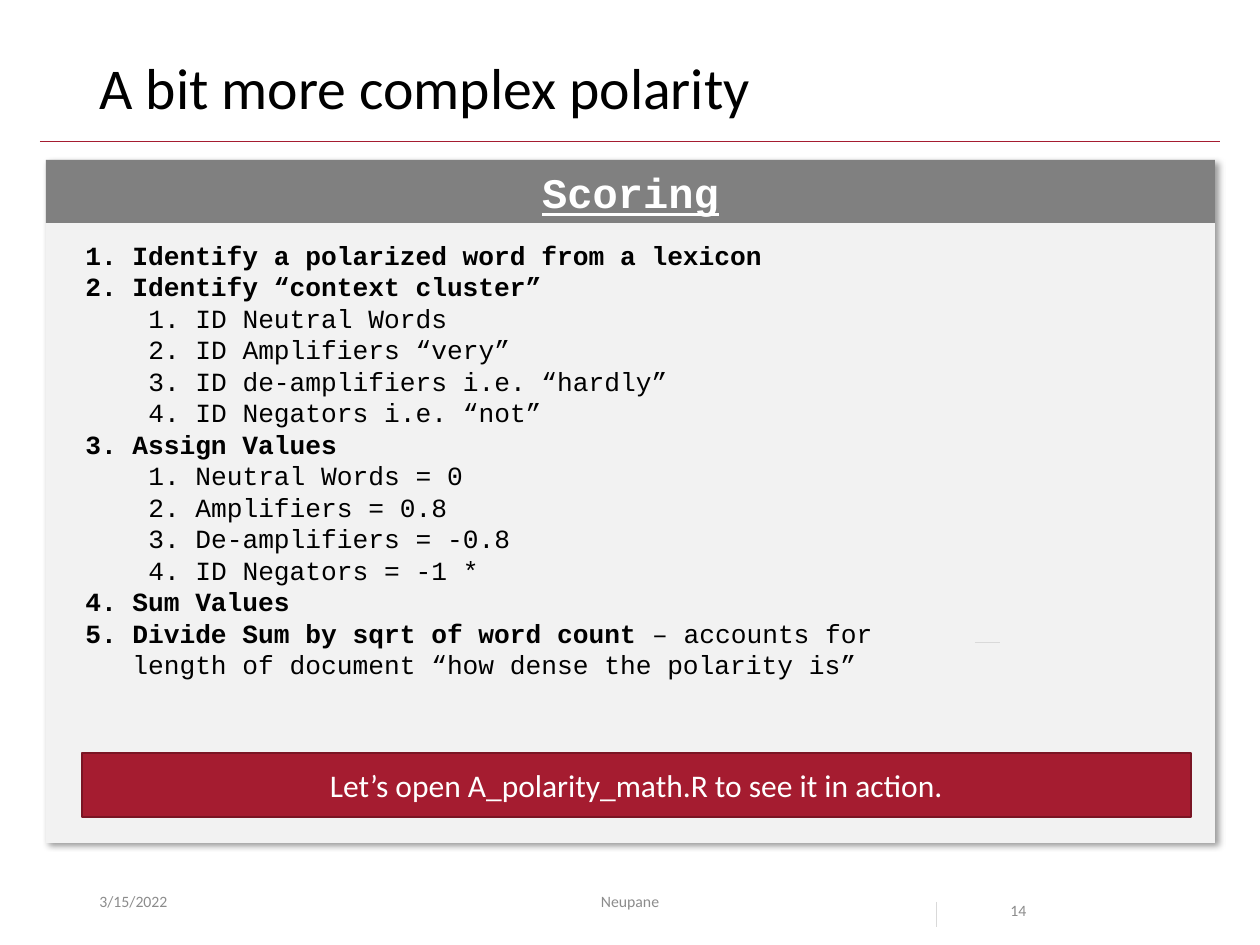
import pptx
import pptx.util
import pptx.dml.color
import pptx.enum.shapes
import pptx.enum.text
import pptx.oxml.ns
import lxml.etree

RGB = pptx.dml.color.RGBColor
BLACK = RGB(0x00, 0x00, 0x00)
WHITE = RGB(0xFF, 0xFF, 0xFF)
CRIMSON = RGB(0xA5, 0x1C, 0x30)
DARK_CRIMSON = RGB(0x7A, 0x15, 0x24)
PANEL_GREY = RGB(0xF2, 0xF2, 0xF2)
HEADER_GREY = RGB(0x80, 0x80, 0x80)
FOOTER_GREY = RGB(0x8C, 0x8C, 0x8C)
HAIRLINE_GREY = RGB(0xD9, 0xD9, 0xD9)

ALIGN = pptx.enum.text.PP_ALIGN
ANCHOR = pptx.enum.text.MSO_ANCHOR
EMU_PER_PX = 914400 / 126


def px(length):
    return pptx.util.Emu(round(length * EMU_PER_PX))


def add_xml(parent, tag, **attributes):
    return lxml.etree.SubElement(parent, pptx.oxml.ns.qn(tag), attributes)


class SlideBuilder:
    body_font = "Calibri"
    code_font = "Courier New"

    def __init__(self, slide):
        self.slide = slide

    def add_words(self, paragraph, text, size, color, font=None, **formats):
        run = paragraph.add_run()
        run.text = text
        run.font.color.rgb = color
        formats.update(name=font or self.body_font, size=pptx.util.Pt(size))
        for name, value in formats.items():
            setattr(run.font, name, value)

    def text_box(self, box, anchor=ANCHOR.MIDDLE):
        frame = self.slide.shapes.add_textbox(*map(px, box)).text_frame
        frame.word_wrap = True
        frame.vertical_anchor = anchor
        return frame

    def label(self, box, text, size, color, align=ALIGN.LEFT,
              spacing=None, anchor=ANCHOR.MIDDLE):
        paragraph = self.text_box(box, anchor).paragraphs[0]
        paragraph.alignment = align
        paragraph.line_spacing = spacing
        self.add_words(paragraph, text, size, color)

    def block(self, box, fill, border=None):
        block = self.slide.shapes.add_shape(
            pptx.enum.shapes.MSO_SHAPE.RECTANGLE, *map(px, box))
        block.shadow.inherit = False
        block.fill.solid()
        block.fill.fore_color.rgb = fill
        if border is None:
            block.line.fill.background()
        else:
            block.line.color.rgb = border
            block.line.width = pptx.util.Pt(1)
        return block

    def shadowed_block(self, box, fill):
        properties = self.block(box, fill)._element.spPr
        effects = properties.find(pptx.oxml.ns.qn("a:effectLst"))
        shadow = add_xml(effects, "a:outerShdw", blurRad=str(pptx.util.Pt(4)),
                         dist=str(pptx.util.Pt(3)), dir="2700000",
                         algn="tl", rotWithShape="0")
        tint = add_xml(shadow, "a:srgbClr", val=str(BLACK))
        add_xml(tint, "a:alpha", val="40000")

    def banner(self, box, text, size, fill, border=None, **formats):
        frame = self.block(box, fill, border).text_frame
        frame.vertical_anchor = ANCHOR.MIDDLE
        frame.paragraphs[0].alignment = ALIGN.CENTER
        self.add_words(frame.paragraphs[0], text, size, WHITE, **formats)

    def rule(self, start, end, color):
        rule = self.slide.shapes.add_connector(
            pptx.enum.shapes.MSO_CONNECTOR.STRAIGHT, *map(px, start + end))
        rule.line.color.rgb = color
        rule.line.width = pptx.util.Pt(0.5)
        add_xml(rule._element.spPr, "a:effectLst")

    def numbered_list(self, box, steps):
        frame = self.text_box(box, ANCHOR.TOP)
        for index, (level, *parts) in enumerate(steps):
            step = frame.paragraphs[0] if index == 0 else frame.add_paragraph()
            step.level = level
            step.line_spacing = pptx.util.Pt(18)
            properties = step._p.get_or_add_pPr()
            properties.set("marL", str(px(47 + 63 * level)))
            properties.set("indent", str(px(-47)))
            add_xml(properties, "a:buAutoNum", type="arabicPeriod")
            for position, text in enumerate(parts):
                self.add_words(step, text, 15, BLACK, self.code_font,
                               bold=level == 0 and position == 0)


SCORING_STEPS = [
    (0, "Identify a polarized word from a lexicon"),
    (0, "Identify “context cluster”"),
    (1, "ID Neutral Words"),
    (1, "ID Amplifiers “very”"),
    (1, "ID de-amplifiers i.e. “hardly”"),
    (1, "ID Negators i.e. “not”"),
    (0, "Assign Values"),
    (1, "Neutral Words = 0"),
    (1, "Amplifiers = 0.8"),
    (1, "De-amplifiers = -0.8"),
    (1, "ID Negators = -1 *"),
    (0, "Sum Values"),
    (0, "Divide Sum by sqrt of word count ",
     "– accounts for length of document “how dense the polarity is”"),
]


def main():
    deck = pptx.Presentation()
    deck.slide_width, deck.slide_height = px(1260), px(945)
    builder = SlideBuilder(deck.slides.add_slide(deck.slide_layouts[6]))

    builder.rule((40, 141), (1220, 141), CRIMSON)
    builder.label((87, 50, 1086, 82), "A bit more complex polarity", 33, BLACK,
                  spacing=0.9)
    builder.shadowed_block((46, 160, 1169, 683), PANEL_GREY)
    builder.banner((46, 160, 1169, 63), "Scoring", 24, HEADER_GREY,
                   font=builder.code_font, bold=True, underline=True)
    builder.numbered_list((73, 233, 859, 459), SCORING_STEPS)
    builder.label((417, 876, 426, 50), "Neupane", 9, FOOTER_GREY, ALIGN.CENTER)
    builder.banner((82, 753, 1109, 64),
                   "Let’s open A_polarity_math.R to see it in action.",
                   18, CRIMSON, DARK_CRIMSON)
    builder.rule((936, 902), (936, 927), HAIRLINE_GREY)
    builder.rule((975, 642), (1000, 642), HAIRLINE_GREY)
    builder.label((998, 876, 118, 50), "14", 9, FOOTER_GREY, spacing=2.0,
                  anchor=ANCHOR.TOP)
    builder.label((87, 876, 284, 50), "3/15/2022", 9, FOOTER_GREY)
    deck.save("out.pptx")


if __name__ == "__main__":
    main()
